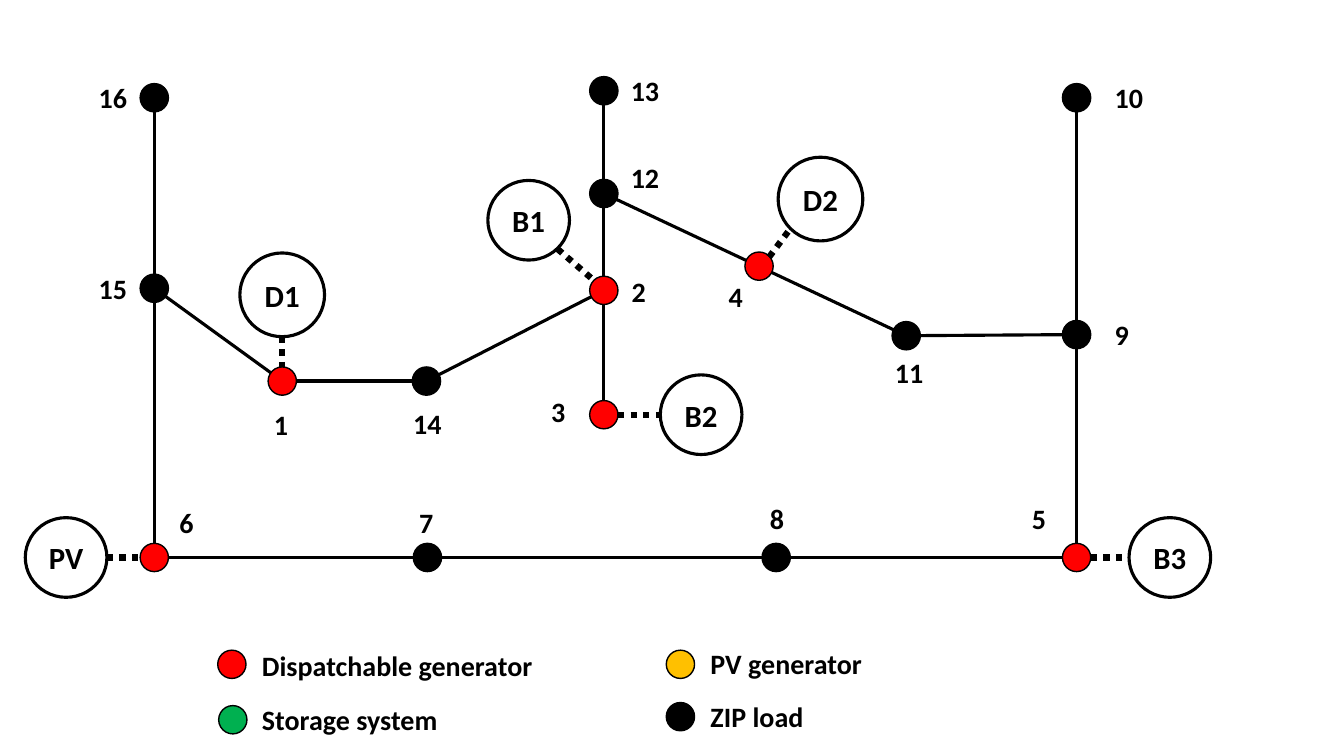
"""Build a slide with a 16-bus microgrid diagram and its legend."""
from lxml.etree import SubElement
from pptx import Presentation
from pptx.dml.color import RGBColor
from pptx.enum.dml import MSO_LINE as Dash
from pptx.enum.shapes import MSO_CONNECTOR as Conn, MSO_SHAPE as Shape
from pptx.enum.text import MSO_ANCHOR as Anchor, MSO_AUTO_SIZE as Fit, PP_ALIGN as Align
from pptx.oxml.ns import qn
from pptx.util import Pt

BLACK = RGBColor(0, 0, 0)
WHITE = RGBColor(255, 255, 255)
RED = RGBColor(255, 0, 0)
GREEN = RGBColor(0, 176, 80)
AMBER = RGBColor(255, 192, 0)
DOT = 20.2

deck = Presentation()
deck.slide_width, deck.slide_height = Pt(960), Pt(540)
slide = deck.slides.add_slide(deck.slide_layouts[6])
grid = slide.shapes.add_group_shape().shapes


def write(home, text, box=None, size=20, wide=None, align=Align.LEFT):
    """Write bold text in a shape, or in a new box at a given place."""
    if box is None:
        left, top = home
        box = slide.shapes if wide else grid
        box = box.add_textbox(Pt(left), Pt(top), Pt(wide or 14 + 14 * len(text)), Pt(32))
        box.text_frame.auto_size = Fit.SHAPE_TO_FIT_TEXT
    else:
        frame = box.text_frame
        frame.margin_left = frame.margin_right = 0
        frame.vertical_anchor = Anchor.MIDDLE
    box.text_frame.word_wrap = True
    para = box.text_frame.paragraphs[0]
    para.alignment = align
    run = para.add_run()
    run.text = text
    font = run.font
    font.name, font.size, font.bold = "Calibri", Pt(size), True
    font.color.rgb = BLACK


def draw(home, spot, fill=None, wide=DOT, high=DOT, weight=1, end=None):
    """Draw a circle centred on a spot, or a line when an end is given."""
    x, y = spot
    if end:
        item = home.add_connector(Conn.STRAIGHT, Pt(x), Pt(y), Pt(end[0]), Pt(end[1]))
        SubElement(item._element.spPr, qn("a:effectLst"))
    else:
        item = home.add_shape(Shape.OVAL, Pt(x - wide / 2), Pt(y - high / 2), Pt(wide), Pt(high))
        item.shadow.inherit = False
        item.fill.solid()
        item.fill.fore_color.rgb = fill
    item.line.color.rgb = BLACK
    item.line.width = Pt(weight)
    return item


west, mid, east, base = 110.2, 431.3, 769, 398.2
nodes = {
    1: (201.6, 272.2, 188.6, 287.3),
    2: (mid, 207.4, 444.2, 192.2),
    3: (mid, 296.2, 386.6, 277.9),
    4: (542.2, 190.1, 513.4, 195.8),
    5: (east, base, 730.1, 355),
    6: (west, base, 121, 357.8),
    7: (305.3, base, 292.3, 357.8),
    8: (554.4, base, 542.9, 355),
    9: (east, 239, 789.1, 223.2),
    10: (east, 69.8, 789.1, 54),
    11: (647.3, 239.8, 632.2, 250.6),
    12: (mid, 138.2, 443.5, 110.9),
    13: (mid, 64.8, 443.5, 49),
    14: (304.6, 272.2, 288, 286.6),
    15: (west, 205.9, 63.4, 190.1),
    16: (west, 69.8, 63.4, 54),
}
sources = {1, 2, 3, 4, 5, 6}
wires = [(16, 6), (5, 6), (10, 5), (13, 3), (15, 1), (1, 14), (14, 2), (12, 11), (11, 9)]
for start, stop in wires:
    draw(grid, nodes[start][:2], weight=2.25, end=nodes[stop][:2])
for bus, (x, y, left, top) in nodes.items():
    draw(grid, (x, y), RED if bus in sources else BLACK)
    write((left, top), str(bus))

units = [
    ("B1", 377.6, 157.3, (398.2, 177.8), (424.1, 200.2)),
    ("B2", 500.8, 296.2, (441.4, 296.6), (471.6, 296.6)),
    ("B3", 835.6, base, (779, base), (806.4, base)),
    ("PV", 47.2, base, (76.3, base), (100.1, base)),
    ("D1", 201.6, 210.6, (201.6, 240.5), (201.6, 262.1)),
    ("D2", 586.1, 142.2, (549.4, 183.6), (564.5, 163.4)),
]
for name, x, y, start, stop in units:
    wide, high = (60.5, 59.8) if name[0] == "D" else (58.3, 56.9)
    ring = draw(grid, (x, y), WHITE, wide, high, 2.25)
    write(None, name, box=ring, size=22, align=Align.CENTER)
    link = draw(grid, start, weight=4.5, end=stop)
    link.line.dash_style = Dash.ROUND_DOT

legend = [
    ("Dispatchable generator", RED, 165.6, 474.5, 180, 459.4),
    ("Storage system", GREEN, 166.3, 514.1, 180, 498.2),
    ("PV generator", AMBER, 486, 474.5, 500.4, 457.9),
    ("ZIP load", BLACK, 486, 511.9, 500.4, 496.1),
]
for name, fill, x, y, left, top in legend:
    draw(slide.shapes, (x, y), fill)
    write((left, top), name, wide=220)

deck.save("out.pptx")
